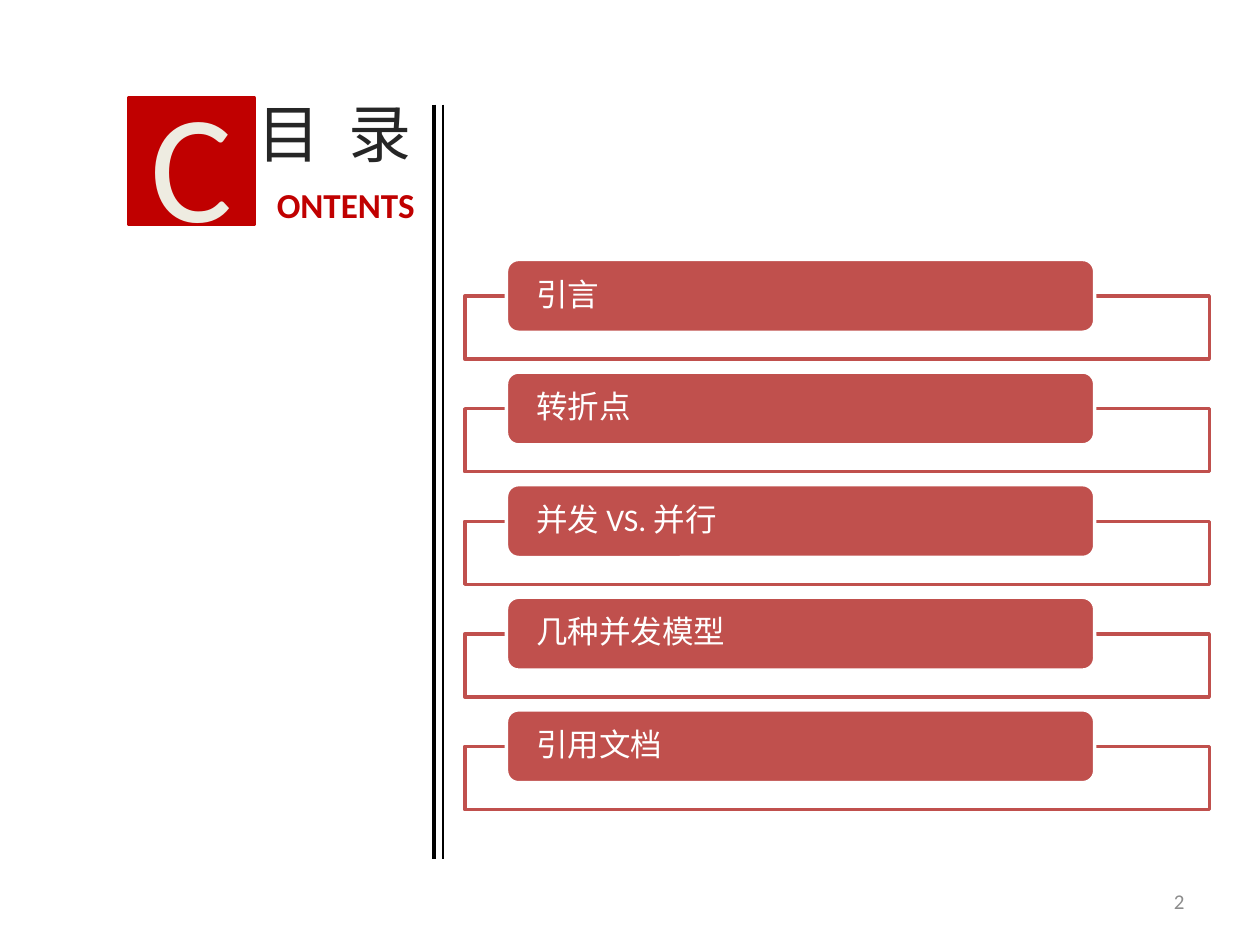
"""Build a contents slide with a red initial, two rules and five framed chapter bars."""
from lxml.etree import SubElement
from pptx import Presentation
from pptx.dml.color import RGBColor
from pptx.enum.shapes import MSO_CONNECTOR, MSO_SHAPE as Shape
from pptx.enum.text import MSO_ANCHOR as Anchor, MSO_AUTO_SIZE as AutoSize, PP_ALIGN as Align
from pptx.oxml.ns import qn
from pptx.util import Cm, Pt

RED = RGBColor(0xC0, 0x00, 0x00)
BRICK = RGBColor(0xC0, 0x50, 0x4D)
CREAM = RGBColor(0xEE, 0xEC, 0xE1)
WHITE = RGBColor(0xFF, 0xFF, 0xFF)
BLACK = RGBColor(0x00, 0x00, 0x00)
CHARCOAL = RGBColor(0x26, 0x26, 0x26)
GRAY = RGBColor(0x8C, 0x8C, 0x8C)

LATIN_FONT = "Calibri"
CJK_FONT = "Noto Sans CJK SC"

CHAPTERS = ["引言", "转折点", "并发 VS. 并行", "几种并发模型", "引用文档"]
FIRST_BAR_TOP = 5.23
CHAPTER_PITCH = 2.27
FRAME_DROP = 0.74


def write(holder, text, size, color, align=Align.LEFT, font=LATIN_FONT, bold=False):
    paragraph = holder.text_frame.paragraphs[0]
    paragraph.text = text
    paragraph.alignment = align
    paragraph.font.size = Pt(size)
    paragraph.font.bold = bold
    paragraph.font.color.rgb = color
    paragraph.font.name = font
    defaults = paragraph._p.pPr.find(qn("a:defRPr"))
    SubElement(defaults, qn("a:ea"), typeface=CJK_FONT)
    return paragraph


def add_box(slide, kind, left, top, width, height, fill, line):
    box = slide.shapes.add_shape(kind, Cm(left), Cm(top), Cm(width), Cm(height))
    box.shadow.inherit = False
    box.fill.solid()
    box.fill.fore_color.rgb = fill
    box.line.color.rgb = line
    box.line.width = Pt(2)
    box.text_frame.vertical_anchor = Anchor.MIDDLE
    return box


def add_label(slide, left, top, width, height):
    label = slide.shapes.add_textbox(Cm(left), Cm(top), Cm(width), Cm(height))
    label.text_frame.word_wrap = False
    label.text_frame.auto_size = AutoSize.SHAPE_TO_FIT_TEXT
    return label


def add_rule(slide, x, weight):
    rule = slide.shapes.add_connector(
        MSO_CONNECTOR.STRAIGHT, Cm(x), Cm(2.11), Cm(x), Cm(17.32))
    rule.line.color.rgb = BLACK
    rule.line.width = Pt(weight)
    SubElement(rule._element.spPr, qn("a:effectLst"))


def add_heading(slide):
    initial = add_box(slide, Shape.RECTANGLE, 2.59, 1.98, 2.54, 2.54, RED, RED)
    write(initial, "C", 88, CREAM, Align.CENTER)
    title = write(add_label(slide, 4.95, 1.78, 3.84, 1.8), "目 录", 36, CHARCOAL, font=CJK_FONT)
    title.runs[0]._r.get_or_add_rPr().set("spc", "400")
    write(add_label(slide, 5.33, 3.58, 3.3, 1.12), "ONTENTS", 20, RED, bold=True)


def add_chapter(slide, name, top):
    frame = add_box(slide, Shape.RECTANGLE, 9.37, top + FRAME_DROP, 15.01, 1.27, WHITE, BRICK)
    frame_color = frame._element.spPr.find(qn("a:solidFill"))[0]
    SubElement(frame_color, qn("a:alpha"), val="90000")

    bar = add_box(slide, Shape.ROUNDED_RECTANGLE, 10.21, top, 11.86, 1.47, BRICK, WHITE)
    bar.text_frame.margin_left = bar.text_frame.margin_right = Cm(0.53)
    bar.text_frame.margin_top = bar.text_frame.margin_bottom = 0
    write(bar, name, 18, WHITE).line_spacing = 0.9


def add_page_number(slide, number):
    page = slide.shapes.add_textbox(Cm(18.21), Cm(17.65), Cm(5.92), Cm(1.02))
    page.text_frame.word_wrap = True
    page.text_frame.vertical_anchor = Anchor.MIDDLE
    write(page, str(number), 12, GRAY, Align.RIGHT)


def main():
    deck = Presentation()
    deck.slide_width, deck.slide_height = Cm(25.4), Cm(19.05)
    slide = deck.slides.add_slide(deck.slide_layouts[6])
    add_heading(slide)
    add_rule(slide, 8.74, 2.25)
    add_rule(slide, 8.93, 1)
    add_page_number(slide, 2)
    for index, name in enumerate(CHAPTERS):
        add_chapter(slide, name, FIRST_BAR_TOP + index * CHAPTER_PITCH)
    deck.save("out.pptx")


if __name__ == "__main__":
    main()
